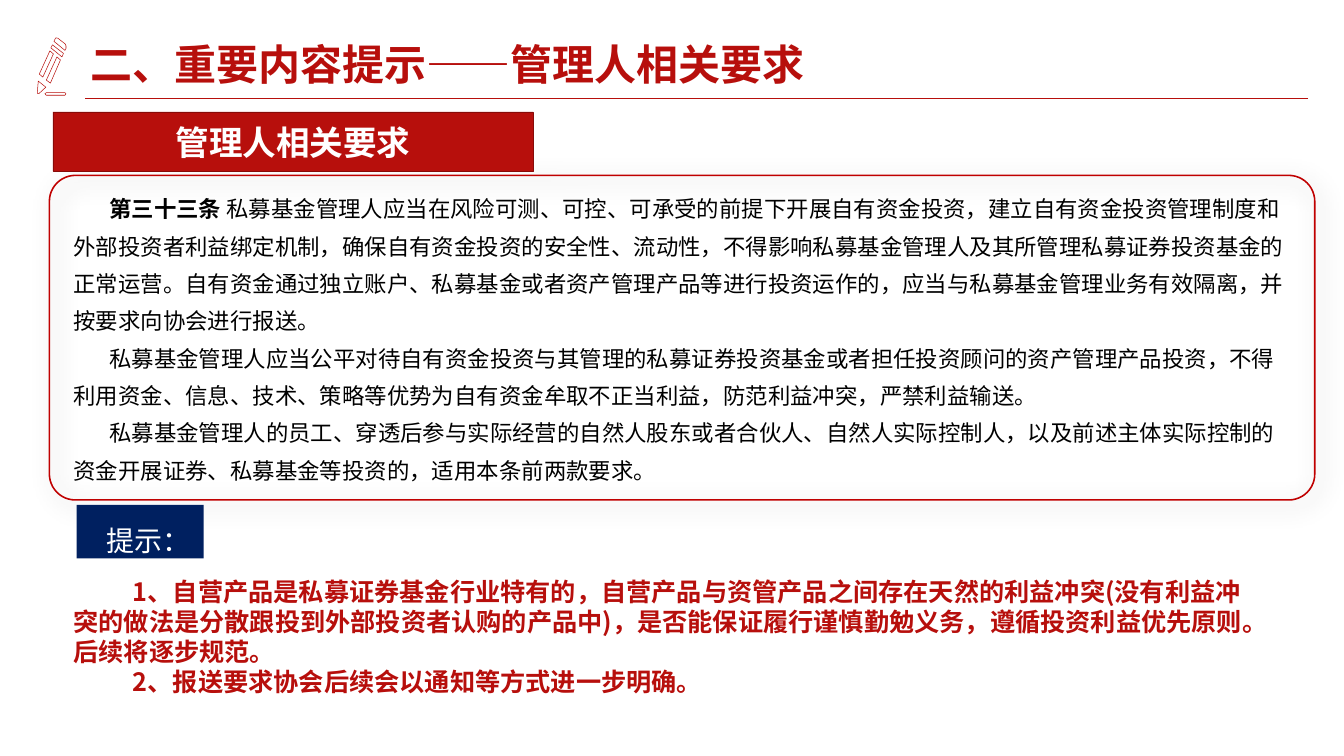
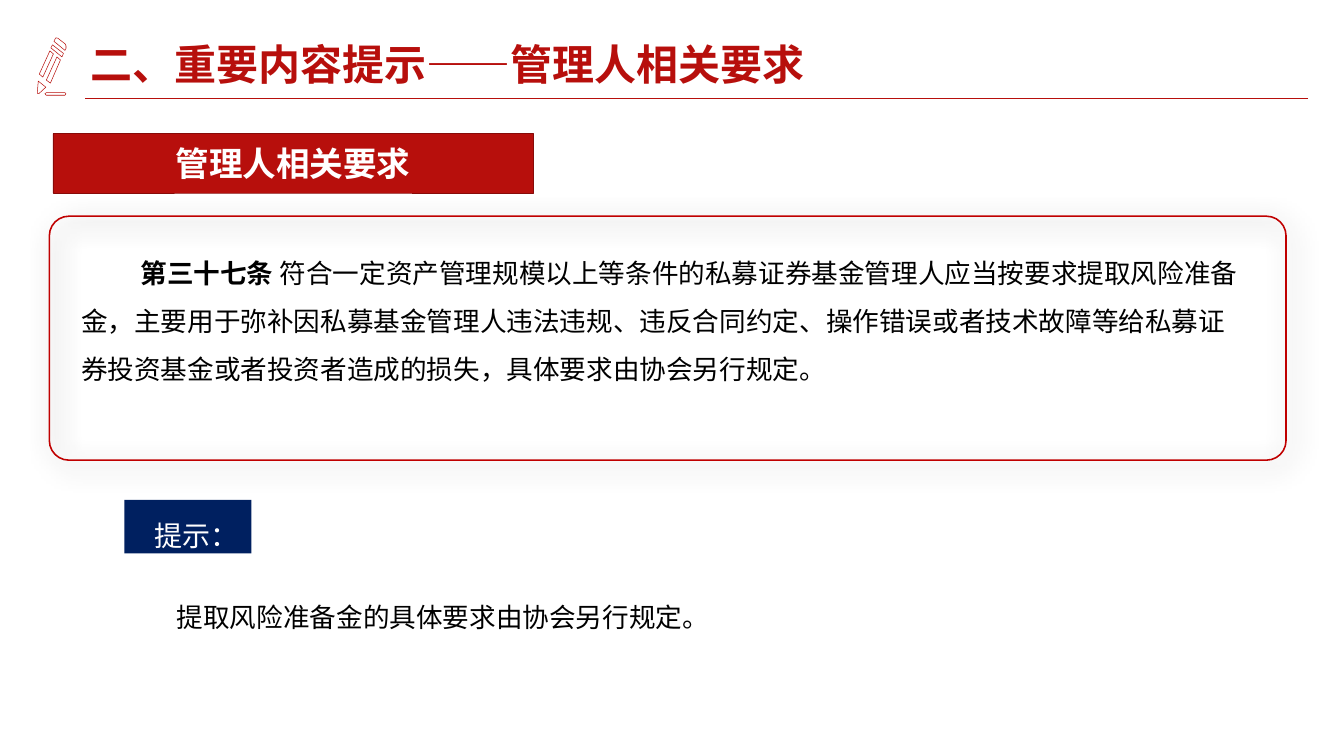
from pptx import Presentation
from pptx.dml.color import RGBColor
from pptx.enum.shapes import MSO_CONNECTOR, MSO_SHAPE
from pptx.enum.text import MSO_ANCHOR, MSO_AUTO_SIZE, PP_ALIGN
from pptx.oxml.ns import qn
from pptx.util import Inches, Pt
from lxml.etree import SubElement

COLORS = {"red": "B70F0C", "dark_red": "870B09", "frame": "C00000",
          "navy": "002060", "white": "FFFFFF", "black": "000000"}
CJK = "Noto Sans CJK SC"

# Run formats: typeface, colour, and font attributes
FORMATS = {
    "title": (CJK, "red", {"size": Pt(60), "bold": True}),
    "title_topic": ("Montserrat", "red", {"size": Pt(60), "bold": True}),
    "banner": ("Arial", "white", {"size": Pt(48), "bold": True}),
    "tip_label": ("Arial", "white", {"size": Pt(40), "bold": False}),
    "article": (CJK, "black", {"size": Pt(32), "bold": False}),
    "article_no": (CJK, "black", {"size": Pt(32), "bold": True}),
    "large": (CJK, "black", {"size": Pt(38), "bold": False}),
    "large_no": (CJK, "black", {"size": Pt(38), "bold": True}),
    "tip": (CJK, "red", {"size": Pt(36), "bold": True}),
}

# Outlines of the pencil icon, in hundredths of an inch
PENCIL = [
    [(92, 184), (129, 184), (131, 186), (129, 189), (92, 189), (89, 186)],
    [(92, 159), (113, 113), (120, 119), (100, 165)],
    [(78, 147), (99, 101), (106, 107), (85, 153)],
    [(74, 184), (76, 161), (91, 173), (77, 186), (75, 186)],
    [(104, 89), (101, 95), (123, 113), (126, 106)],
    [(109, 78), (111, 75), (115, 76), (129, 87), (131, 91), (131, 96), (129, 100), (107, 82)],
]

SLIDES = [
    {
        "banner_top": 2.22,
        "frame": (0.98, 3.48, 25.11, 6.44),
        "article": (1.36, 3.62, 24.35, 6.09),
        "article_style": {"indent": 0.71, "spacing": 1.39},
        "article_text": [
            [("第三十三条 ", "article_no"),
             ("私募基金管理人应当在风险可测、可控、可承受的前提下开展自有资金投资，建立自有资金投资管理制度和"
              "外部投资者利益绑定机制，确保自有资金投资的安全性、流动性，不得影响私募基金管理人及其所管理私募"
              "证券投资基金的正常运营。自有资金通过独立账户、私募基金或者资产管理产品等进行投资运作的，应当与"
              "私募基金管理业务有效隔离，并按要求向协会进行报送。", "article")],
            [("私募基金管理人应当公平对待自有资金投资与其管理的私募证券投资基金或者担任投资顾问的资产管理产品"
              "投资，不得利用资金、信息、技术、策略等优势为自有资金牟取不正当利益，防范利益冲突，严禁利益输送。",
              "article")],
            [("私募基金管理人的员工、穿透后参与实际经营的自然人股东或者合伙人、自然人实际控制人，以及前述主体"
              "实际控制的资金开展证券、私募基金等投资的，适用本条前两款要求。", "article")],
        ],
        "tip_label": (1.52, 10.02),
        "tip": (1.36, 11.38, 23.67, 2.52),
        "tip_style": {"indent": 1.18},
        "tip_text": [
            [("1、自营产品是私募证券基金行业特有的，自营产品与资管产品之间存在天然的利益冲突(没有利益冲突的做法"
              "是分散跟投到外部投资者认购的产品中)，是否能保证履行谨慎勤勉义务，遵循投资利益优先原则。"
              "后续将逐步规范。", "tip")],
            [("2、报送要求协会后续会以通知等方式进一步明确。", "tip")],
        ],
    },
    {
        "banner_top": 2.65,
        "frame": (0.98, 4.29, 24.54, 4.84),
        "article": (1.51, 4.74, 23.18, 2.98),
        "article_style": {"indent": 1.18, "spacing": 1.5},
        "article_text": [
            [("第三十七条", "large_no"),
             (" 符合一定资产管理规模以上等条件的私募证券基金管理人应当按要求提取风险准备金，主要用于弥补因私募"
              "基金管理人违法违规、违反合同约定、操作错误或者技术故障等给私募证券投资基金或者投资者造成的损失，"
              "具体要求由协会另行规定。", "large")],
        ],
        "tip_label": (2.47, 9.92),
        "tip": (2.23, 11.56, 13.33, 0.95),
        "tip_style": {"indent": 1.18, "spacing": 1.5},
        "tip_text": [[("提取风险准备金的具体要求由协会另行规定。", "large")]],
    },
]


def write(frame, paragraphs, indent=0, spacing=1.0, align=PP_ALIGN.LEFT,
          anchor=MSO_ANCHOR.TOP, fit=MSO_AUTO_SIZE.NONE):
    for name, value in {"word_wrap": True, "vertical_anchor": anchor, "auto_size": fit}.items():
        setattr(frame, name, value)
    for i, runs in enumerate(paragraphs):
        paragraph = frame.add_paragraph() if i else frame.paragraphs[0]
        paragraph.alignment = align
        paragraph.line_spacing = spacing
        properties = paragraph._p.get_or_add_pPr()
        properties.set("marL", "0")
        properties.set("indent", str(Inches(indent)))
        for text, style in runs:
            run = paragraph.add_run()
            run.text = text
            typeface, color, attributes = FORMATS[style]
            for name, value in attributes.items():
                setattr(run.font, name, value)
            run.font.color.rgb = RGBColor.from_string(COLORS[color])
            run.font.name = typeface
            SubElement(run._r.rPr, qn("a:ea"), typeface=CJK)


def paint(shape, fill=None, line=None, width=1):
    shape.shadow.inherit = False
    if fill:
        shape.fill.solid()
        shape.fill.fore_color.rgb = RGBColor.from_string(COLORS[fill])
    else:
        shape.fill.background()
    if line:
        shape.line.color.rgb = RGBColor.from_string(COLORS[line])
        shape.line.width = Pt(width)
    else:
        shape.line.fill.background()


prs = Presentation()
prs.slide_width, prs.slide_height = Inches(26.67), Inches(15)

for content in SLIDES:
    slide = prs.slides.add_slide(prs.slide_layouts[5])
    shapes = slide.shapes

    # Pencil icon and rule under the title
    outline = shapes.build_freeform(*PENCIL[0][0], scale=Inches(0.01))
    for i, points in enumerate(PENCIL):
        if i:
            outline.move_to(*points[0])
        outline.add_line_segments(points[1:], close=True)
    paint(outline.convert_to_shape(), "white", "red", 0.75)

    rule = shapes.add_connector(MSO_CONNECTOR.STRAIGHT, Inches(25.96), Inches(1.95),
                                Inches(1.69), Inches(1.95))
    rule.line.color.rgb = RGBColor.from_string(COLORS["red"])
    rule.line.width = Pt(0.75)
    SubElement(rule._element.spPr, qn("a:effectLst"))

    # Title
    title = shapes.title
    for side, value in {"left": 1.69, "top": 0.7, "width": 23, "height": 1.24}.items():
        setattr(title, side, Inches(value))
    write(title.text_frame, [[("二、重要内容提示——", "title"), ("管理人相关要求", "title_topic")]],
          spacing=0.9, anchor=MSO_ANCHOR.MIDDLE)

    # Rounded frame with a soft shadow
    frame = shapes.add_shape(MSO_SHAPE.ROUNDED_RECTANGLE, *map(Inches, content["frame"]))
    frame.adjustments[0] = 0.08
    paint(frame, line="frame", width=2.25)
    shadow = SubElement(frame._element.spPr.find(qn("a:effectLst")), qn("a:outerShdw"),
                        blurRad=str(Pt(38)), dist=str(Pt(11)), dir="2700000",
                        algn="tl", rotWithShape="0")
    shade = SubElement(shadow, qn("a:srgbClr"), val=COLORS["black"])
    SubElement(shade, qn("a:alpha"), val="45000")

    # Article and tip texts
    for part in ("article", "tip"):
        passage = shapes.add_textbox(*map(Inches, content[part]))
        write(passage.text_frame, content[part + "_text"],
              fit=MSO_AUTO_SIZE.SHAPE_TO_FIT_TEXT, **content[part + "_style"])

    # Section banner
    banner = shapes.add_shape(MSO_SHAPE.RECTANGLE, Inches(1.05), Inches(content["banner_top"]),
                              Inches(9.53), Inches(1.18))
    paint(banner, "red", "dark_red")
    write(banner.text_frame, [[("管理人相关要求", "banner")]],
          align=PP_ALIGN.CENTER, anchor=MSO_ANCHOR.MIDDLE)

    # Tip label
    tip_label = shapes.add_shape(MSO_SHAPE.RECTANGLE, *map(Inches, content["tip_label"]),
                                 Inches(2.52), Inches(1.06))
    paint(tip_label, "navy")
    write(tip_label.text_frame, [[("提示：", "tip_label")]],
          indent=0.49, spacing=1.5, anchor=MSO_ANCHOR.MIDDLE)

prs.save("out.pptx")
